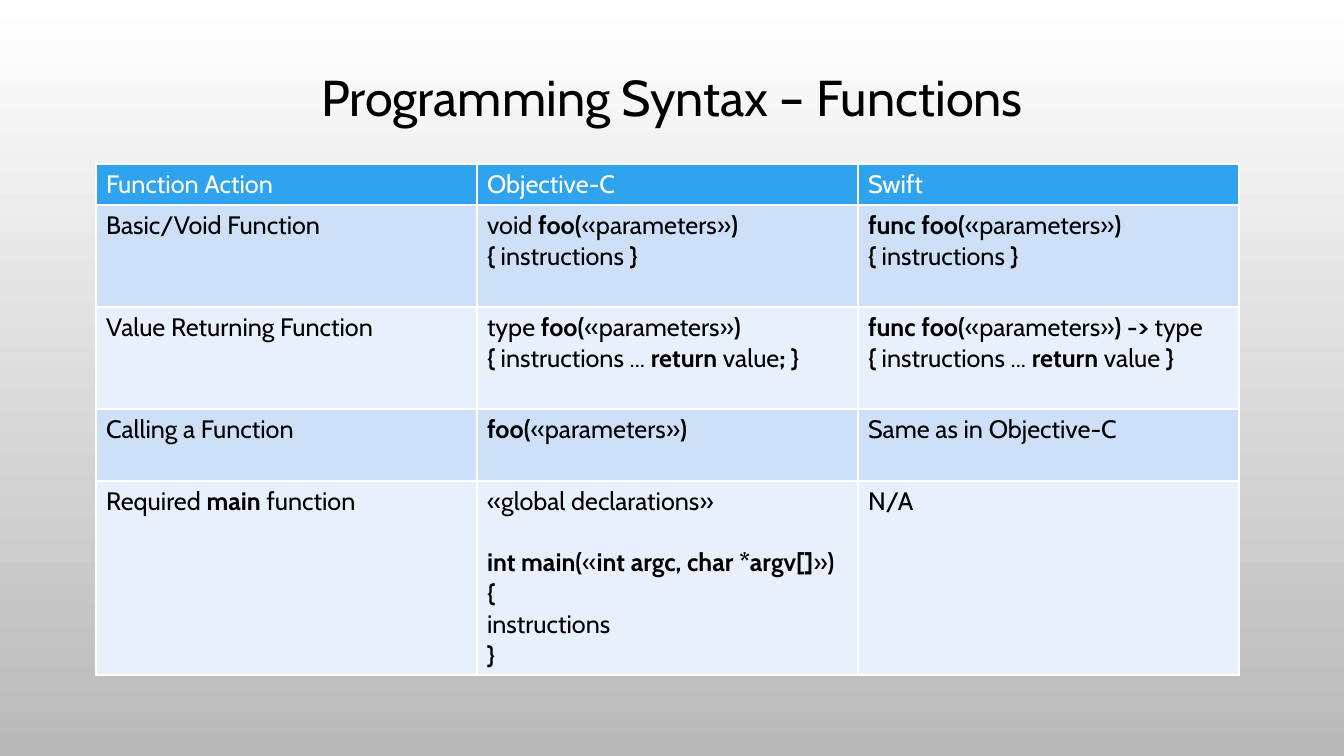
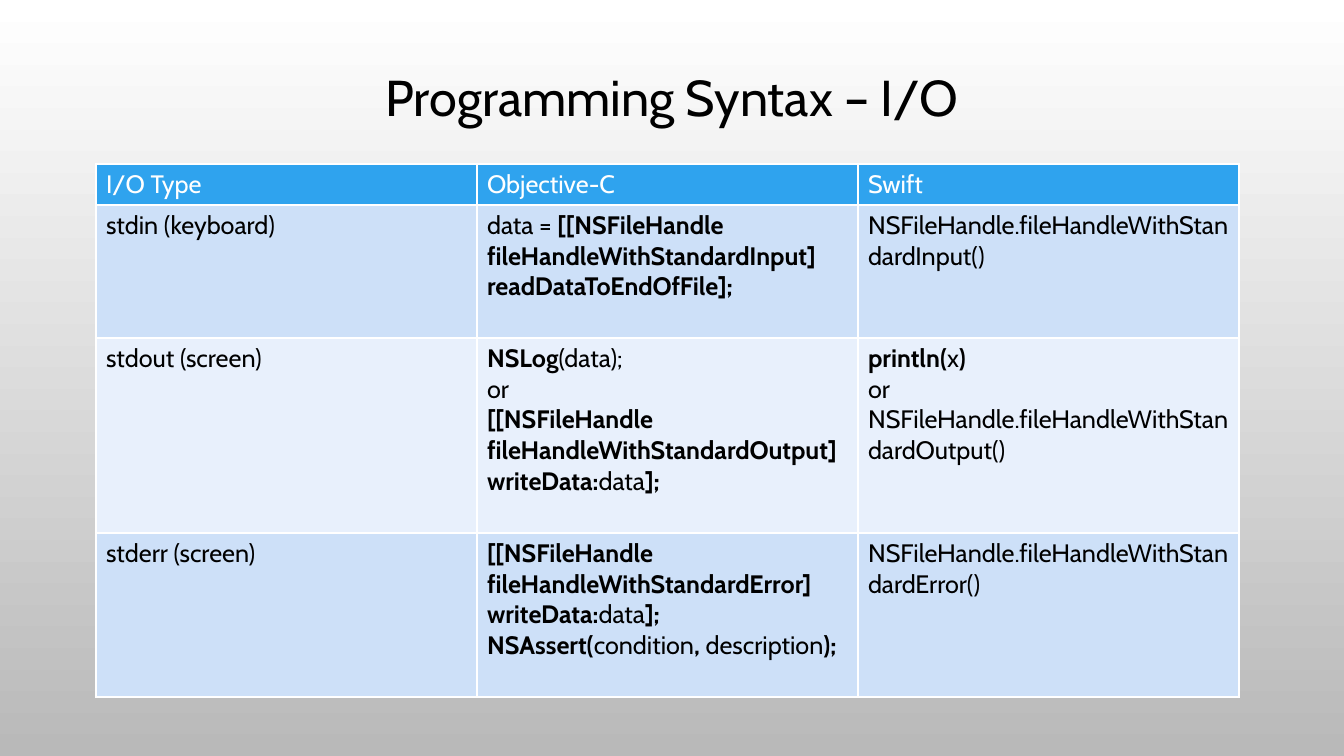
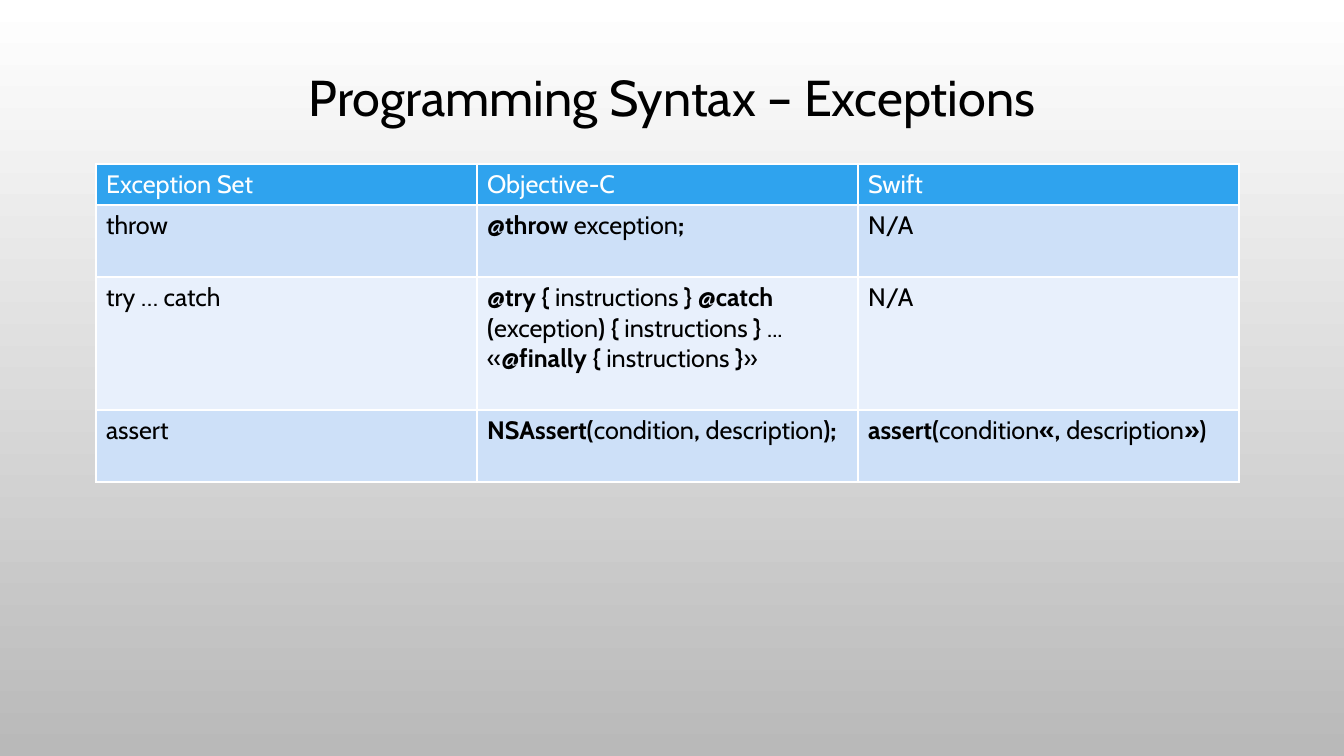
from lxml.etree import SubElement
from pptx import Presentation
from pptx.dml.color import RGBColor
from pptx.enum.text import MSO_ANCHOR, PP_ALIGN
from pptx.oxml.ns import qn
from pptx.util import Emu, Pt

COLORS = {
    "text": "000000",
    "white": "FFFFFF",
    "backdrop": "B9B9B9",
    "header": "2FA3EE",
    "odd_row": "CDE0F8",
    "even_row": "E8F0FC",
}


def px(length):
    return Emu(round(length * 914400 / 100.8))


def rgb(name):
    return RGBColor.from_string(COLORS[name])


class Deck:
    font = "Cabin"
    title_size = 36
    body_size = 18
    line_gap = 22
    column_width = 381

    def __init__(self):
        self.presentation = Presentation()
        self.presentation.slide_width = px(1344)
        self.presentation.slide_height = px(756)
        self.slide = None

    def new_slide(self, title):
        self.slide = self.presentation.slides.add_slide(self.presentation.slide_layouts[6])
        backdrop = self.slide.background.fill
        backdrop.gradient()
        backdrop.gradient_angle = 270
        for stop, color, position in zip(backdrop.gradient_stops, ("white", "backdrop"), (0, 1)):
            stop.color.rgb = rgb(color)
            stop.position = position
        self.title(title)

    def title(self, text):
        frame = self.slide.shapes.add_textbox(px(101), px(50), px(1142), px(101)).text_frame
        frame.word_wrap = True
        frame.vertical_anchor = MSO_ANCHOR.MIDDLE
        heading = frame.paragraphs[0]
        heading.alignment = PP_ALIGN.CENTER
        heading.line_spacing = 0.9
        self.marked_text(heading, text, self.title_size, "text")

    def marked_text(self, paragraph, text, size, color):
        paragraph.font.name = self.font
        paragraph.font.size = Pt(size)
        paragraph.font.color.rgb = rgb(color)
        paragraph.font.bold = False
        for index, part in enumerate(text.split("**")):
            if part:
                run = paragraph.add_run()
                run.text = part
                run.font.bold = index % 2 == 1

    def borders(self, cell):
        properties = cell._tc.get_or_add_tcPr()
        for index, side in enumerate(("lnL", "lnR", "lnT", "lnB")):
            line = SubElement(properties, qn(f"a:{side}"), w=str(Pt(1)))
            fill = SubElement(line, qn("a:solidFill"))
            SubElement(fill, qn("a:srgbClr"), val=COLORS["white"])
            properties.insert(index, line)

    def cell(self, cell, lines, fill, color):
        cell.fill.solid()
        cell.fill.fore_color.rgb = rgb(fill)
        self.borders(cell)
        frame = cell.text_frame
        for index, line in enumerate(lines):
            paragraph = frame.add_paragraph() if index else frame.paragraphs[0]
            if line.startswith("\n"):
                paragraph.space_before = Pt(self.line_gap)
            self.marked_text(paragraph, line.lstrip("\n"), self.body_size, color)

    def comparison(self, topic, rows, heights):
        heights = [41, *heights]
        rows = [(topic, "Objective-C", "Swift"), *rows]
        table = self.slide.shapes.add_table(
            len(rows), 3, px(96), px(164), px(3 * self.column_width), px(sum(heights))
        ).table
        table.first_row = False
        table.horz_banding = False
        for column in table.columns:
            column.width = px(self.column_width)
        for r, (entries, height) in enumerate(zip(rows, heights)):
            table.rows[r].height = px(height)
            fill = "header" if r == 0 else "odd_row" if r % 2 else "even_row"
            color = "text" if r else "white"
            for c, entry in enumerate(entries):
                lines = [entry] if isinstance(entry, str) else entry
                self.cell(table.cell(r, c), lines, fill, color)


NS_ASSERT = "**NSAssert(**condition**,** description**);**"

SLIDES = [
    (
        "Functions",
        "Function Action",
        [
            (
                "Basic/Void Function",
                "void **foo(**«parameters»**) {** instructions **}**",
                "**func foo(**«parameters»**) {** instructions **}**",
            ),
            (
                "Value Returning Function",
                "type **foo(**«parameters»**) {** instructions ... **return** value**; }**",
                "**func foo(**«parameters»**) ->** type **{** instructions ... **return** value **}**",
            ),
            ("Calling a Function", "**foo(**«parameters»**)**", "Same as in Objective-C"),
            (
                "Required **main** function",
                [
                    "«global declarations»",
                    "\n**int main(**«**int argc, char *argv[]**»**) {**",
                    "instructions",
                    "**}**",
                ],
                "N/A",
            ),
        ],
        [102, 102, 72, 194],
    ),
    (
        "I/O",
        "I/O Type",
        [
            (
                "stdin (keyboard)",
                "data = **[[NSFileHandle fileHandleWithStandardInput] readDataToEndOfFile];**",
                "NSFileHandle.fileHandleWithStandardInput()",
            ),
            (
                "stdout (screen)",
                [
                    "**NSLog**(data);",
                    "or",
                    "**[[NSFileHandle fileHandleWithStandardOutput] writeData:**data**];**",
                ],
                ["**println(**x**)**", "or", "NSFileHandle.fileHandleWithStandardOutput()"],
            ),
            (
                "stderr (screen)",
                [
                    "**[[NSFileHandle fileHandleWithStandardError] writeData:**data**];**",
                    NS_ASSERT,
                ],
                "NSFileHandle.fileHandleWithStandardError()",
            ),
        ],
        [133, 195, 164],
    ),
    (
        "Exceptions",
        "Exception Set",
        [
            ("throw", "**@throw** exception**;**", "N/A"),
            (
                "try … catch",
                "**@try {** instructions **} @catch (**exception**) {** instructions **}**"
                " ... «**@finally {** instructions **}**»",
                "N/A",
            ),
            ("assert", NS_ASSERT, "**assert(**condition**«,** description**»)**"),
        ],
        [72, 133, 72],
    ),
]


def main():
    deck = Deck()
    for subject, topic, rows, heights in SLIDES:
        deck.new_slide(f"Programming Syntax – {subject}")
        deck.comparison(topic, rows, heights)
    deck.presentation.save("out.pptx")


if __name__ == "__main__":
    main()
